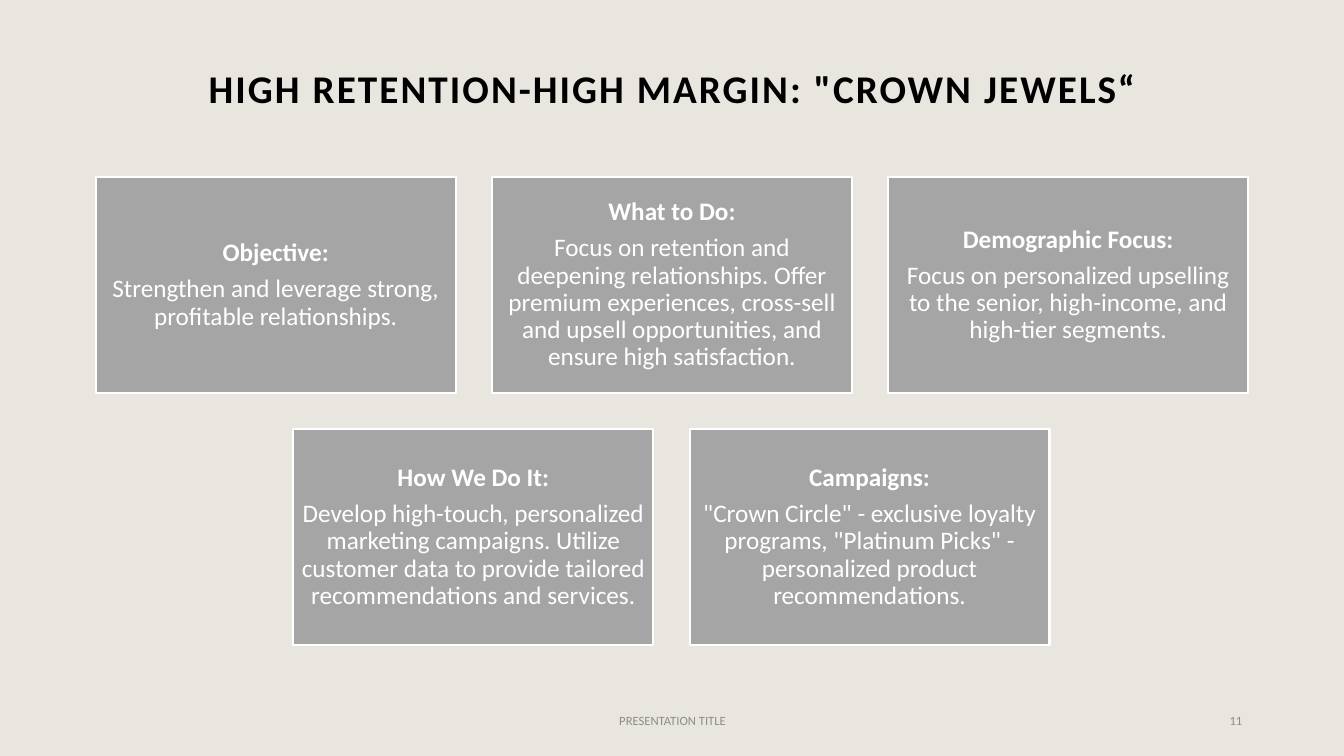
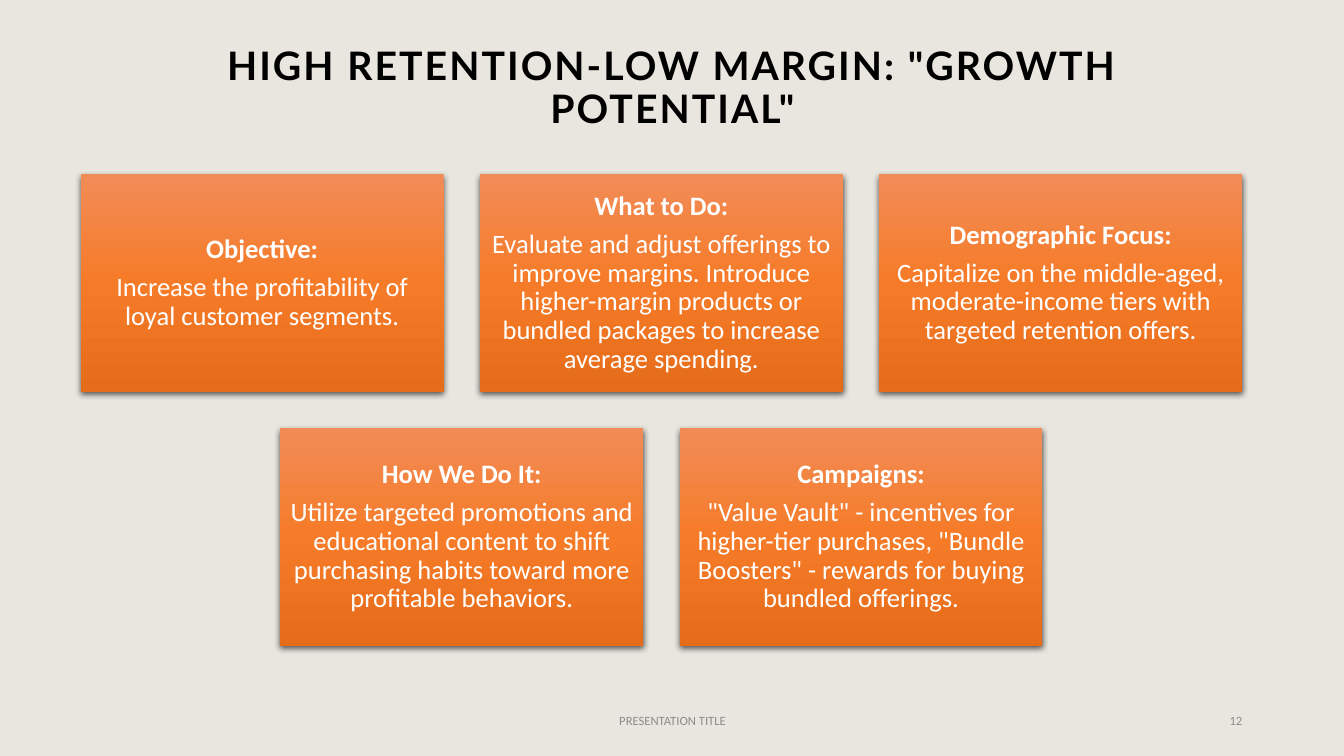
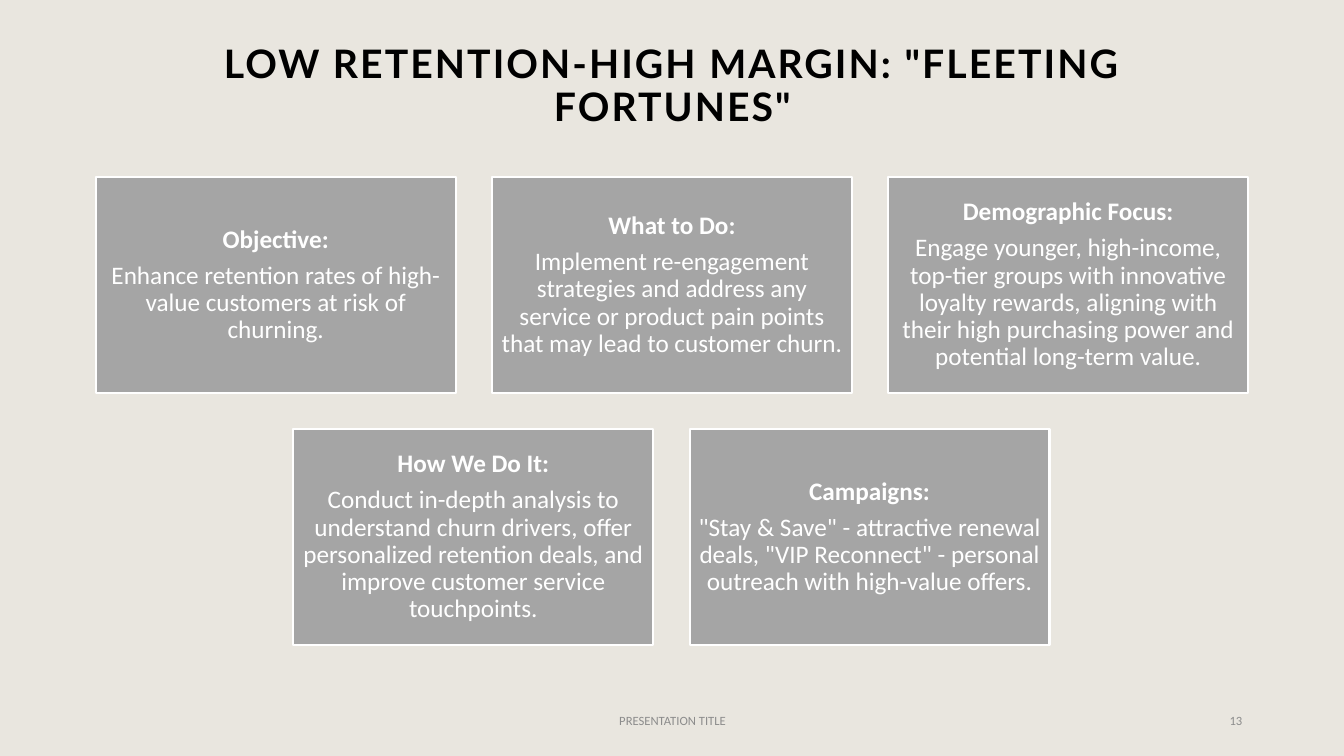
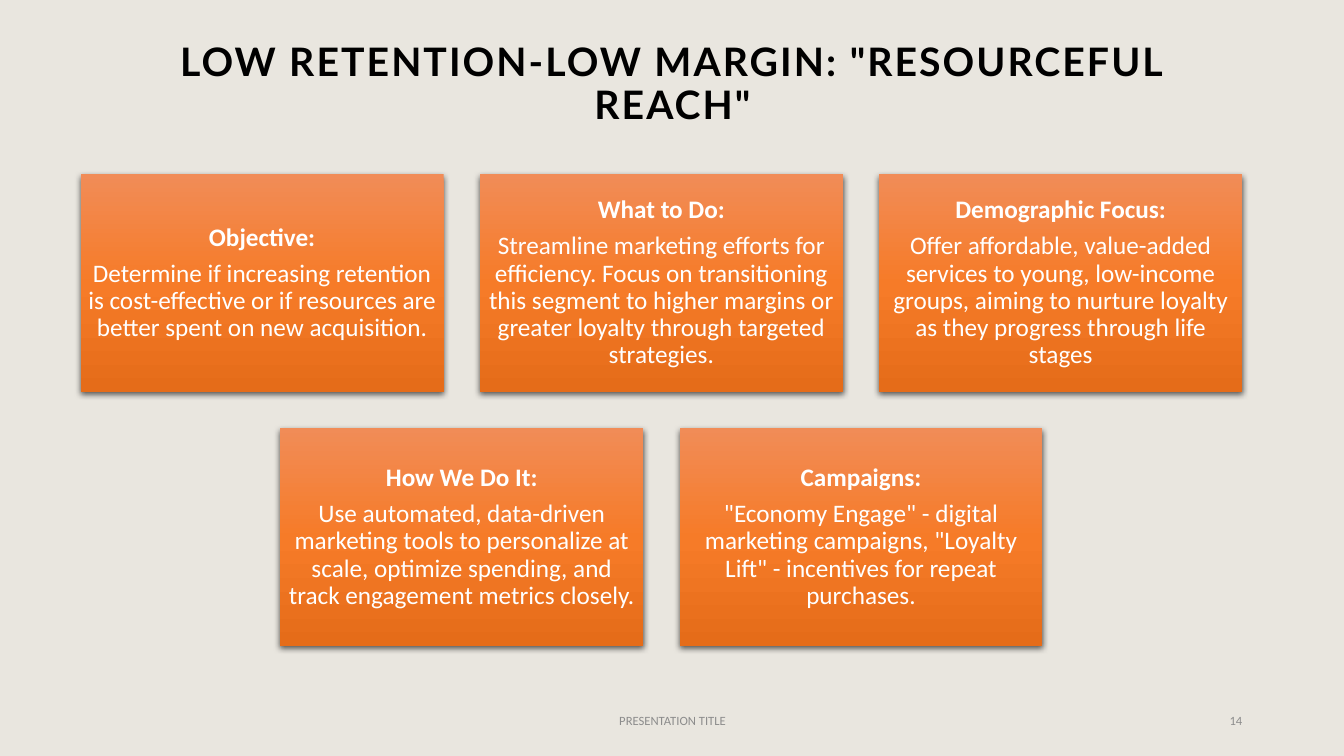
from lxml import etree
from pptx import Presentation
from pptx.dml.color import RGBColor
from pptx.enum.shapes import MSO_SHAPE
from pptx.enum.text import MSO_ANCHOR, MSO_AUTO_SIZE, PP_ALIGN
from pptx.oxml.ns import qn
from pptx.util import Emu, Pt

RECTANGLE = MSO_SHAPE.RECTANGLE
MIDDLE = MSO_ANCHOR.MIDDLE
NO_AUTOFIT = MSO_AUTO_SIZE.NONE
CENTER, RIGHT = PP_ALIGN.CENTER, PP_ALIGN.RIGHT

EMU_PER_PX = 9144  # 100 px to the inch
TITLE_ROOM = 45  # room kept free below the title, per line

HEADINGS = ("Objective:", "What to Do:", "Demographic Focus:",
            "How We Do It:", "Campaigns:")


def px(length):
    return Emu(length * EMU_PER_PX)


def rgb(value):
    return RGBColor.from_string(value)


class SegmentDeck:
    """Holds the shared style and the current page."""

    background, ink, white = "E9E6DF", "000000", "FFFFFF"
    muted, grey = "8C8C8C", "A5A5A5"
    orange_stops = ((0, "F18C57"), (50, "F67B28"), (100, "E56C19"))
    font = "Calibri"

    def __init__(self):
        self.deck = Presentation()
        self.deck.slide_width, self.deck.slide_height = px(1333), px(750)
        fill = self.deck.slide_master.background.fill
        fill.solid()
        fill.fore_color.rgb = rgb(self.background)
        self.page = None

    def add_page(self, number):
        self.page = self.deck.slides.add_slide(self.deck.slide_layouts[5])
        self.footer("PRESENTATION TITLE", 442, 450, CENTER)
        self.footer(str(number), 942, 300, RIGHT)

    def format(self, para, size, color, align, bold=False, font=None):
        para.alignment = align
        for span in para.runs:
            span.font.name = font or self.font
            span.font.size = Pt(size)
            span.font.bold = bold
            span.font.color.rgb = rgb(color)

    def title(self, text, top, font, free_lines):
        box = self.page.shapes.title
        box.left, box.top, box.width, box.height = map(px, (92, top, 1150, 145))
        frame = box.text_frame
        frame.text = text
        frame.word_wrap = True
        frame.auto_size = NO_AUTOFIT
        frame.vertical_anchor = MIDDLE
        frame.margin_top = px(5)
        frame.margin_bottom = px(5 + TITLE_ROOM * free_lines)
        para = frame.paragraphs[0]
        para.line_spacing = 0.9
        self.format(para, 28, self.ink, CENTER, True, font)
        para.runs[0].font._element.set("spc", "150")

    def footer(self, text, left, width, align):
        box = self.page.shapes.add_textbox(px(left), px(695), px(width), px(40))
        frame = box.text_frame
        frame.text = text
        frame.word_wrap = True
        frame.vertical_anchor = MIDDLE
        self.format(frame.paragraphs[0], 9, self.muted, align)

    def paint_grey(self, card):
        card.fill.solid()
        card.fill.fore_color.rgb = rgb(self.grey)
        card.line.color.rgb = rgb(self.white)
        card.line.width = Pt(1.5)

    def paint_orange(self, card):
        card.line.fill.background()
        card.fill.gradient()
        card.fill.gradient_angle = 270
        # Three gradient stops
        stops = card.element.spPr.find(qn("a:gradFill")).find(qn("a:gsLst"))
        for stop in list(stops):
            stops.remove(stop)
        for percent, color in self.orange_stops:
            stop = etree.SubElement(stops, qn("a:gs"), pos=str(percent * 1000))
            etree.SubElement(stop, qn("a:srgbClr"), val=color)
        # Soft shadow straight below
        effects = card.element.spPr.find(qn("a:effectLst"))
        shadow = etree.SubElement(
            effects, qn("a:outerShdw"), blurRad=str(Pt(4.5)),
            dist=str(Pt(1.5)), dir="5400000", algn="ctr", rotWithShape="0")
        color = etree.SubElement(shadow, qn("a:srgbClr"), val=self.ink)
        etree.SubElement(color, qn("a:alpha"), val="63000")

    def card(self, heading, body, left, top, width, height, size, paint):
        card = self.page.shapes.add_shape(
            RECTANGLE, px(left), px(top), px(width), px(height))
        card.shadow.inherit = False
        paint(card)
        frame = card.text_frame
        frame.text = f"{heading}\n{body}"
        frame.word_wrap = True
        frame.vertical_anchor = MIDDLE
        inset = px(round(size * 0.4))
        frame.margin_left = frame.margin_right = inset
        frame.margin_top = frame.margin_bottom = inset
        for para, bold in zip(frame.paragraphs, (True, False)):
            para.line_spacing = 0.9
            self.format(para, size, self.white, CENTER, bold)
        frame.paragraphs[0].space_after = Pt(round(size * 0.35, 1))

    def card_grid(self, bodies, left, top, width, size, paint):
        """Three cards above two, the lower row centred."""
        height, gap = round(width * 0.6), round(width * 0.1)
        pitch = width + gap
        for index, (heading, body) in enumerate(zip(HEADINGS, bodies)):
            row, column = divmod(index, 3)
            self.card(heading, body, left + column * pitch + row * pitch // 2,
                      top + row * (height + gap), width, height, size, paint)

    def grey_grid(self, bodies, size):
        self.card_grid(bodies, 95, 176, 357, size, self.paint_grey)

    def orange_grid(self, bodies, size):
        self.card_grid(bodies, 80, 173, 360, size, self.paint_orange)


# Title, its top, font and free lines; card style, text size and card texts
SEGMENTS = (
    ('HIGH RETENTION-HIGH MARGIN: "CROWN JEWELS“', 40, "Calibri", 1,
     SegmentDeck.grey_grid, 18, (
         "Strengthen and leverage strong, profitable relationships.",
         "Focus on retention and deepening relationships. Offer premium "
         "experiences, cross-sell and upsell opportunities, and ensure high "
         "satisfaction.",
         "Focus on personalized upselling to the senior, high-income, and "
         "high-tier segments.",
         "Develop high-touch, personalized marketing campaigns. Utilize "
         "customer data to provide tailored recommendations and services.",
         '"Crown Circle" - exclusive loyalty programs, "Platinum Picks" - '
         "personalized product recommendations.")),
    ('HIGH RETENTION-LOW MARGIN: "GROWTH POTENTIAL"', 61, "Lato", 2,
     SegmentDeck.orange_grid, 19, (
         "Increase the profitability of loyal customer segments.",
         "Evaluate and adjust offerings to improve margins. Introduce "
         "higher-margin products or bundled packages to increase average "
         "spending.",
         "Capitalize on the middle-aged, moderate-income tiers with targeted "
         "retention offers.",
         "Utilize targeted promotions and educational content to shift "
         "purchasing habits toward more profitable behaviors.",
         '"Value Vault" - incentives for higher-tier purchases, "Bundle '
         'Boosters" - rewards for buying bundled offerings.')),
    ('LOW RETENTION-HIGH MARGIN: "FLEETING FORTUNES"', 59, "Lato", 2,
     SegmentDeck.grey_grid, 18, (
         "Enhance retention rates of high-value customers at risk of "
         "churning.",
         "Implement re-engagement strategies and address any service or "
         "product pain points that may lead to customer churn.",
         "Engage younger, high-income, top-tier groups with innovative "
         "loyalty rewards, aligning with their high purchasing power and "
         "potential long-term value.",
         "Conduct in-depth analysis to understand churn drivers, offer "
         "personalized retention deals, and improve customer service "
         "touchpoints.",
         '"Stay & Save" - attractive renewal deals, "VIP Reconnect" - '
         "personal outreach with high-value offers.")),
    ('LOW RETENTION-LOW MARGIN: "RESOURCEFUL REACH"', 57, "Lato", 2,
     SegmentDeck.orange_grid, 18, (
         "Determine if increasing retention is cost-effective or if "
         "resources are better spent on new acquisition.",
         "Streamline marketing efforts for efficiency. Focus on "
         "transitioning this segment to higher margins or greater loyalty "
         "through targeted strategies.",
         "Offer affordable, value-added services to young, low-income "
         "groups, aiming to nurture loyalty as they progress through life "
         "stages",
         "Use automated, data-driven marketing tools to personalize at "
         "scale, optimize spending, and track engagement metrics closely.",
         '"Economy Engage" - digital marketing campaigns, "Loyalty Lift" - '
         "incentives for repeat purchases.")),
)


def main():
    show = SegmentDeck()
    for number, segment in enumerate(SEGMENTS, start=11):
        title, top, font, free_lines, draw_grid, size, bodies = segment
        show.add_page(number)
        show.title(title, top, font, free_lines)
        draw_grid(show, bodies, size)
    show.deck.save("out.pptx")


if __name__ == "__main__":
    main()
